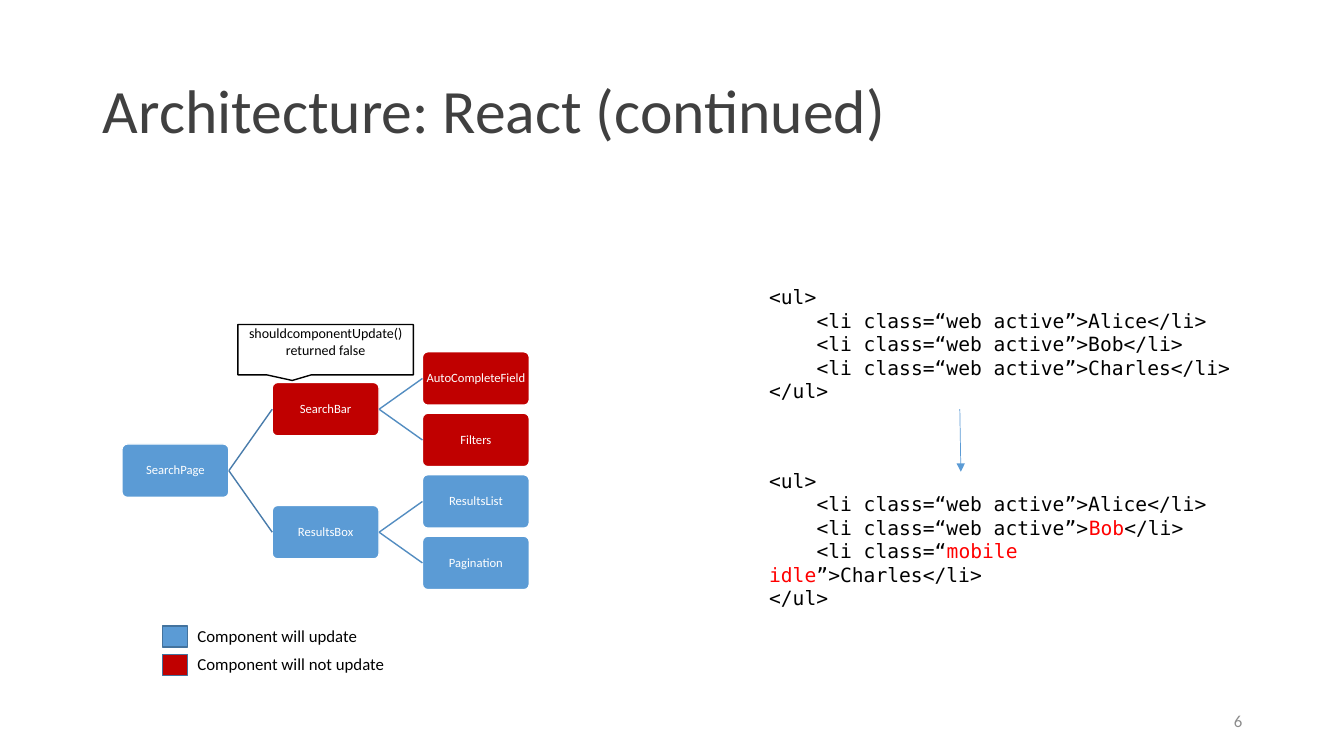
import pptx
import pptx.util
import pptx.dml.color
import pptx.enum.shapes
import pptx.enum.text
import pptx.oxml
import pptx.oxml.ns
from dataclasses import dataclass

Inches = pptx.util.Inches
Shapes = pptx.enum.shapes.MSO_SHAPE
Align = pptx.enum.text.PP_ALIGN
Anchor = pptx.enum.text.MSO_ANCHOR


@dataclass(frozen=True)
class Theme:
    sans: str = "Calibri"
    mono: str = "DejaVu Sans Mono"
    title: str = "404040"
    number: str = "8C8C8C"
    ink: str = "000000"
    paper: str = "FFFFFF"
    update: str = "5B9BD5"
    skip: str = "C00000"
    changed: str = "FF0000"
    swatch_line: str = "43739E"
    branch_lines: tuple = ("497CAB", "538DC1")
    title_size: int = 44
    code_size: int = 14
    legend_size: int = 12
    callout_size: int = 10
    node_size: int = 9


def rgb(value):
    return pptx.dml.color.RGBColor.from_string(value)


class SlideBuilder:
    def __init__(self, deck, theme):
        self.theme = theme
        self.page = deck.slides.add_slide(deck.slide_layouts[5])

    def fill_text(self, holder, lines, size, color, font=None, align=Align.LEFT,
                  spacing=None, indents=(), **frame_format):
        """Each line is a list of (text, color or None) spans."""
        frame = holder.text_frame
        for name, value in {"word_wrap": True, **frame_format}.items():
            setattr(frame, name, value)
        for index, spans in enumerate(lines):
            para = frame.paragraphs[0] if index == 0 else frame.add_paragraph()
            para.alignment = align
            para.line_spacing = spacing
            if index in indents:
                para._p.get_or_add_pPr().set("indent", str(Inches(0.47)))
            for text, span_color in spans:
                span = para.add_run()
                span.text = text
                for name, value in {"name": font or self.theme.sans,
                                    "size": pptx.util.Pt(size)}.items():
                    setattr(span.font, name, value)
                span.font.color.rgb = rgb(span_color or color)

    def title(self, text):
        box = self.page.shapes.title
        for name, value in {"left": 0.92, "top": 0.4, "width": 11.5, "height": 1.45}.items():
            setattr(box, name, Inches(value))
        self.fill_text(box, [[(text, None)]], self.theme.title_size, self.theme.title,
                       spacing=0.9, vertical_anchor=Anchor.MIDDLE,
                       auto_size=pptx.enum.text.MSO_AUTO_SIZE.NONE)

    def text(self, place, lines, size, color, **options):
        box = self.page.shapes.add_textbox(*map(Inches, place))
        self.fill_text(box, lines, size, color, **options)
        return box

    def slide_number(self, place, text):
        box = self.text(place, [[(text, None)]], self.theme.legend_size,
                        self.theme.number, align=Align.RIGHT,
                        vertical_anchor=Anchor.MIDDLE)
        return box

    def shape(self, kind, place, fill, line, adjustments=()):
        shape = self.page.shapes.add_shape(kind, *map(Inches, place))
        shape.shadow.inherit = False
        shape.fill.solid()
        shape.fill.fore_color.rgb = rgb(fill)
        shape.line.color.rgb = rgb(line)
        shape.line.width = pptx.util.Pt(1)
        for index, value in enumerate(adjustments):
            shape.adjustments[index] = value
        return shape

    def line(self, start, end, color, width, arrow=False):
        line = self.page.shapes.add_connector(
            pptx.enum.shapes.MSO_CONNECTOR.STRAIGHT, *map(Inches, (*start, *end)))
        line.line.color.rgb = rgb(color)
        line.line.width = pptx.util.Pt(width)
        if arrow:
            line.line._get_or_add_ln().append(pptx.oxml.parse_xml(
                '<a:tailEnd %s type="triangle"/>' % pptx.oxml.ns.nsdecls("a")))
        line._element.spPr.append(pptx.oxml.parse_xml(
            '<a:effectLst %s/>' % pptx.oxml.ns.nsdecls("a")))
        return line

    def node(self, label, depth, row, fill):
        node = self.shape(Shapes.ROUNDED_RECTANGLE,
                          (1.21 + 1.49 * depth, 3.49 + 0.61 * row, 1.06, 0.53),
                          fill, self.theme.paper, (0.1,))
        margins = dict.fromkeys(("margin_left", "margin_right", "margin_top",
                                 "margin_bottom"), Inches(0.02))
        self.fill_text(node, [[(label, None)]], self.theme.node_size, self.theme.paper,
                       align=Align.CENTER, spacing=0.9,
                       vertical_anchor=Anchor.MIDDLE, **margins)
        return node

    def branch(self, parent, child, depth):
        branch = self.line((0, 0), (1, 1), self.theme.branch_lines[depth], 1)
        branch.begin_connect(parent, 3)
        branch.end_connect(child, 1)

    def code(self, top, items):
        lines = [[("<ul>", None)], *items, [("</ul>", None)]]
        self.text((7.53, top, 4.82, 1.28), lines, self.theme.code_size, self.theme.ink,
                  font=self.theme.mono, indents=range(1, len(lines) - 1))


theme = Theme()
deck = pptx.Presentation()
deck.slide_width, deck.slide_height = Inches(13.33), Inches(7.5)
slide = SlideBuilder(deck, theme)

slide.title("Architecture: React (continued)")
slide.slide_number((9.42, 6.95, 3, 0.4), "6")


# Markup before and after the change
def list_item(name, classes="web active", name_color=None, class_color=None):
    return [("<li class=“", None), (classes, class_color), ("”>", None),
            (name, name_color), ("</li>", None)]


slide.code(2.78, [list_item(name) for name in ("Alice", "Bob", "Charles")])
slide.code(4.6, [list_item("Alice"),
                 list_item("Bob", name_color=theme.changed),
                 list_item("Charles", "mobile idle", class_color=theme.changed)])
slide.line((9.52, 4.06), (9.53, 4.68), theme.update, 0.5, arrow=True)

# Component tree: each parent sits midway between its children
subtrees = [("SearchBar", theme.skip, ("AutoCompleteField", "Filters")),
            ("ResultsBox", theme.update, ("ResultsList", "Pagination"))]
root = slide.node("SearchPage", 0, 1.5, theme.update)
for group, (label, fill, leaves) in enumerate(subtrees):
    parent = slide.node(label, 1, 2 * group + 0.5, fill)
    slide.branch(root, parent, 0)
    for index, leaf in enumerate(leaves):
        slide.branch(parent, slide.node(leaf, 2, 2 * group + index, fill), 1)

# Callout above SearchBar
callout = slide.shape(Shapes.RECTANGULAR_CALLOUT, (2.36, 3.22, 1.74, 0.5),
                      theme.paper, theme.ink, (-0.19, 0.61))
slide.fill_text(callout, [[("shouldcomponentUpdate() returned false", None)]],
                theme.callout_size, theme.ink, align=Align.CENTER,
                vertical_anchor=Anchor.TOP, margin_top=0)

# Legend
legend = [("Component will update", theme.update),
          ("Component will not update", theme.skip)]
for row, (label, fill) in enumerate(legend):
    top = 6.16 + 0.28 * row
    slide.shape(Shapes.RECTANGLE, (1.61, top + 0.05, 0.25, 0.21), fill, theme.swatch_line)
    slide.text((1.86, top, 2.07, 0.3), [[(label, None)]], theme.legend_size,
               theme.ink, word_wrap=False)

deck.save("out.pptx")
